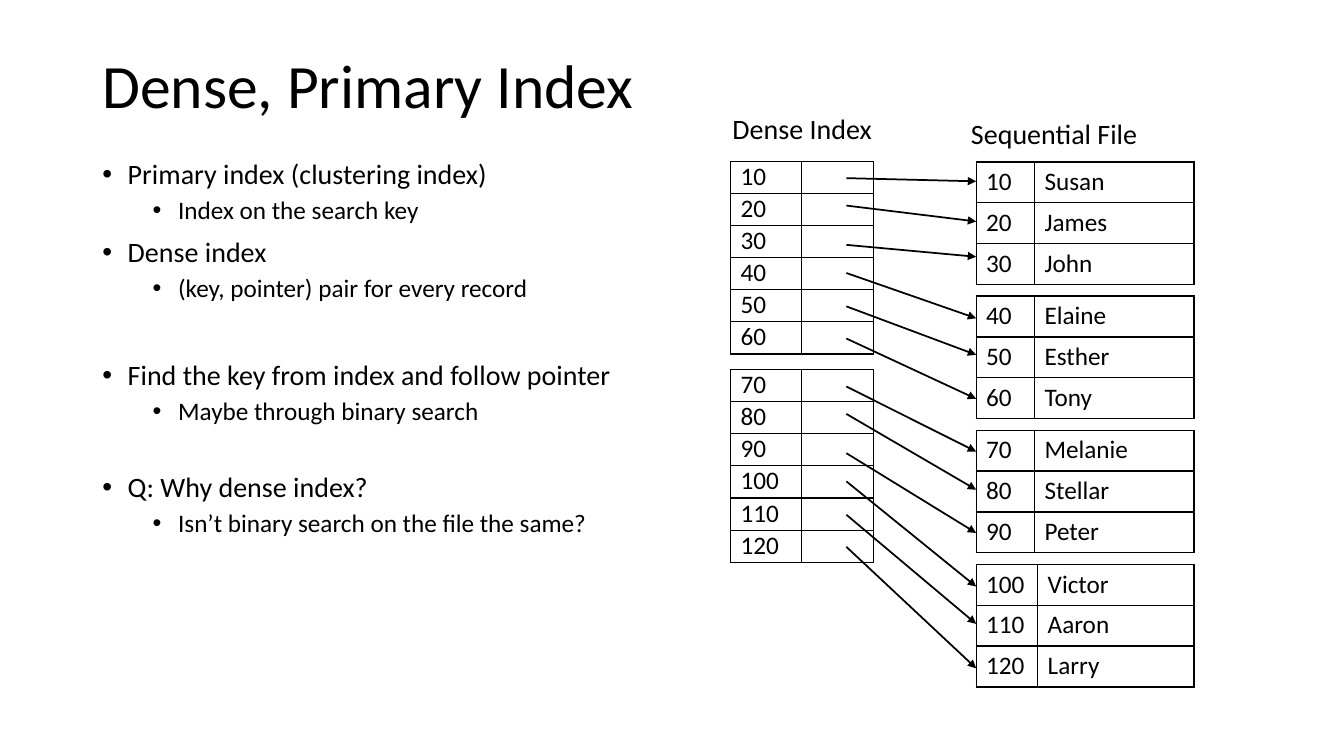
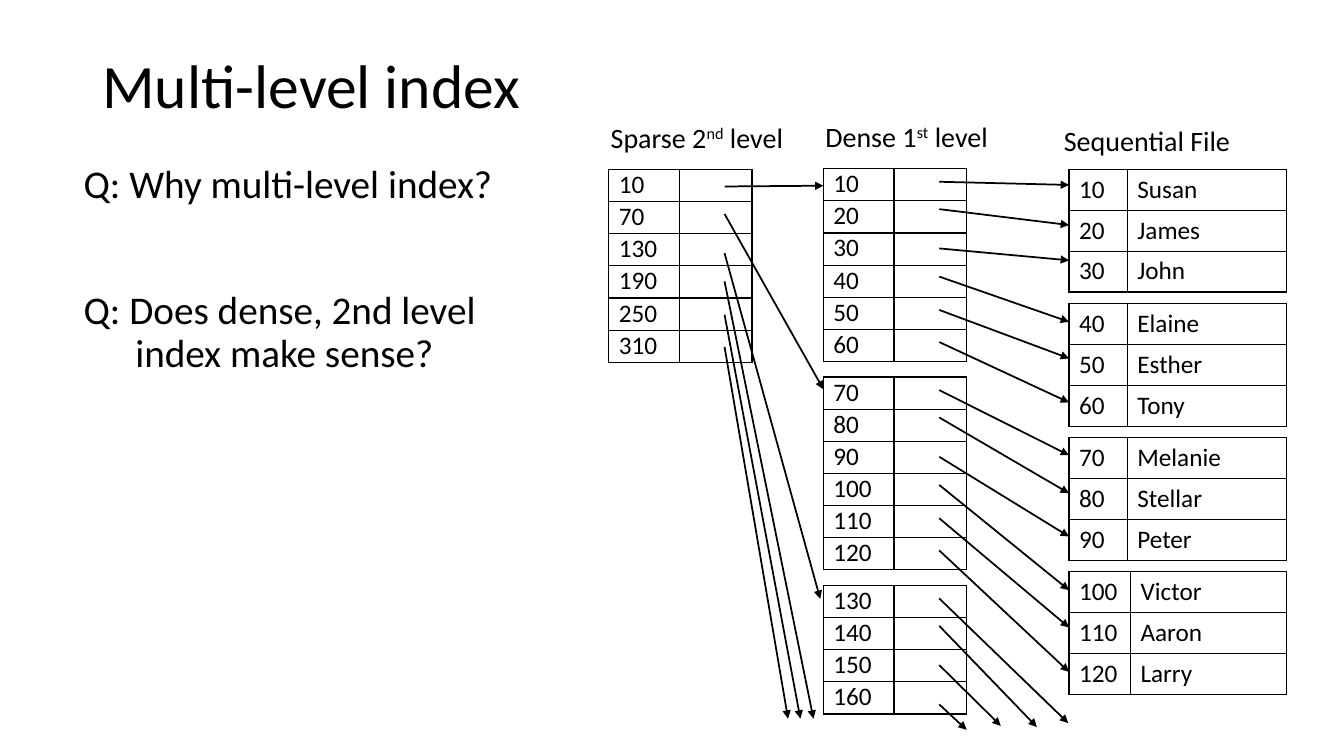
from lxml.etree import SubElement
from pptx import Presentation
from pptx.dml.color import RGBColor
from pptx.enum.shapes import MSO_CONNECTOR
from pptx.enum.text import MSO_ANCHOR
from pptx.oxml.ns import qn
from pptx.util import Cm, Pt

COLORS = {"ink": "000000", "paper": "FFFFFF"}
FONT = "Calibri"
LINE_SPACING = 0.9

# All lengths below are centimetres.
INDEX_COLUMNS = (1.78, 1.83)
INDEX_ROW = 0.81
INDEX_PITCH = 5.25
FILE_WIDTH = 5.49
FILE_ROW = 1.03
FILE_PITCH = 3.38
FILE_OFFSET = 6.19
POINTER_X = 2.92
POINTER_ROWS = (0.43, 1.12, 2.11, 2.82, 3.66, 4.47)
RECORD_ROWS = (0.51, 1.52, 2.41, 3.96, 4.88, 5.99,
               7.32, 8.28, 9.37, 10.72, 11.66, 12.78)

RECORD_BLOCKS = (
    ((10, "Susan"), (20, "James"), (30, "John")),
    ((40, "Elaine"), (50, "Esther"), (60, "Tony")),
    ((70, "Melanie"), (80, "Stellar"), (90, "Peter")),
    ((100, "Victor"), (110, "Aaron"), (120, "Larry")),
)
DENSE_KEYS = (range(10, 70, 10), range(70, 130, 10))
OVERFLOW_KEYS = range(130, 170, 10)
SPARSE_KEYS = range(10, 370, 60)

OUTLINE = (
    (0, "Primary index (clustering index)", 0),
    (1, "Index on the search key", 5),
    (0, "Dense index", 10),
    (1, "(key, pointer) pair for every record", 5),
    (0, "Find the key from index and follow pointer", 41.5),
    (1, "Maybe through binary search", 5),
    (0, "Q: Why dense index?", 34),
    (1, "Isn’t binary search on the file the same?", 5),
)
QUESTIONS = (
    ("Q: Why multi-level index?", 0),
    ("Q: Does dense, 2nd level\vindex make sense?", 60),
)


def color(name):
    return RGBColor.from_string(COLORS[name])


def format_runs(paragraph, size):
    for run in paragraph.runs:
        run.font.name = FONT
        run.font.size = Pt(size)
        run.font.color.rgb = color("ink")


def add_text_frame(slide, left, top, width, height):
    box = slide.shapes.add_textbox(Cm(left), Cm(top), Cm(width), Cm(height))
    box.text_frame.word_wrap = True
    return box.text_frame


def add_paragraph(text_frame, position, text, size, space_before, margin, indent):
    paragraph = text_frame.add_paragraph() if position else text_frame.paragraphs[0]
    paragraph.text = text
    paragraph.line_spacing = LINE_SPACING
    paragraph.space_before = Pt(space_before)
    properties = paragraph._p.get_or_add_pPr()
    properties.set("marL", str(Cm(margin)))
    properties.set("indent", str(Cm(indent)))
    format_runs(paragraph, size)
    return properties


def add_titled_slide(presentation, title):
    slide = presentation.slides.add_slide(presentation.slide_layouts[6])
    slide.background.fill.solid()
    slide.background.fill.fore_color.rgb = color("paper")
    text_frame = add_text_frame(slide, 2.33, 0.85, 29.21, 2.76)
    text_frame.vertical_anchor = MSO_ANCHOR.MIDDLE
    text_frame.text = title
    text_frame.paragraphs[0].line_spacing = LINE_SPACING
    format_runs(text_frame.paragraphs[0], 44)
    return slide


def add_outline(slide, left, top, width, height):
    text_frame = add_text_frame(slide, left, top, width, height)
    for position, (level, text, space_before) in enumerate(OUTLINE):
        properties = add_paragraph(text_frame, position, text, 20 - 2 * level,
                                   space_before, 0.64 + 1.27 * level, -0.64)
        SubElement(properties, qn("a:buFont")).set("typeface", "Arial")
        SubElement(properties, qn("a:buChar")).set("char", "•")
        if level:
            properties.set("lvl", str(level))


def add_questions(slide, left, top, width, height):
    text_frame = add_text_frame(slide, left, top, width, height)
    for position, (text, space_before) in enumerate(QUESTIONS):
        add_paragraph(text_frame, position, text, 28, space_before, 1.3, -1.3)


def add_label(slide, left, top, *parts):
    """Write the parts in one line, every second one as a superscript."""
    paragraph = add_text_frame(slide, left, top, 5.2, 1.11).paragraphs[0]
    for position, part in enumerate(parts):
        run = paragraph.add_run()
        run.text = part
        if position % 2:
            run._r.get_or_add_rPr().set("baseline", "30000")
    format_runs(paragraph, 20)


def add_arrow(slide, start, end):
    points = [Cm(value) for value in (*start, *end)]
    arrow = slide.shapes.add_connector(MSO_CONNECTOR.STRAIGHT, *points)
    arrow.line.color.rgb = color("ink")
    arrow.line.width = Pt(1.25)
    tail = SubElement(arrow.line._get_or_add_ln(), qn("a:tailEnd"))
    tail.set("type", "triangle")
    SubElement(arrow._element.spPr, qn("a:effectLst"))


def add_cell_borders(cell):
    properties = cell._tc.get_or_add_tcPr()
    for side in ("a:lnL", "a:lnR", "a:lnT", "a:lnB"):
        line = SubElement(properties, qn(side), w=str(Pt(1)))
        fill = SubElement(line, qn("a:solidFill"))
        SubElement(fill, qn("a:srgbClr"), val=COLORS["ink"])


def add_grid(slide, left, top, column_widths, row_height, rows, padding):
    """Draw a plain ruled table; padding is the space above and below its text."""
    frame = slide.shapes.add_table(
        len(rows), len(column_widths), Cm(left), Cm(top),
        Cm(sum(column_widths)), Cm(row_height * len(rows)))
    table = frame.table
    table.first_row = table.horz_banding = False
    for column, width in zip(table.columns, column_widths):
        column.width = Cm(width)
    for row, values in zip(table.rows, rows):
        row.height = Cm(row_height)
        for cell, value in zip(row.cells, values):
            cell.margin_top = cell.margin_bottom = Cm(padding)
            add_cell_borders(cell)
            cell.fill.background()
            if value != "":
                cell.text = str(value)
                format_runs(cell.text_frame.paragraphs[0], 18)


def add_index_block(slide, left, top, keys, targets, rise=0, pointers=POINTER_ROWS):
    """Draw one index block and an arrow from each pointer to its target point."""
    rows = [(key, "") for key in keys]
    add_grid(slide, left, top, INDEX_COLUMNS, INDEX_ROW, rows, 0)
    for pointer, target in zip(pointers, targets):
        add_arrow(slide, (left + POINTER_X, top + pointer - rise), target)


def add_sequential_file(slide, left, top):
    add_label(slide, left - 0.38, top - 1.27, "Sequential File")
    for position, records in enumerate(RECORD_BLOCKS):
        key_width = 1.55 if records[0][0] >= 100 else 1.47
        add_grid(slide, left, top + position * FILE_PITCH,
                 (key_width, FILE_WIDTH - key_width), FILE_ROW, records, 0.12)


def add_dense_index(slide, left, top, label, rise=0):
    """Draw the dense index with the file beside it; rise lifts the arrows."""
    file_left = left + FILE_OFFSET
    add_sequential_file(slide, file_left, top + 0.02)
    add_label(slide, left - 0.2, top - 1.37, *label)
    targets = [(file_left, top + row - rise) for row in RECORD_ROWS]
    for position, keys in enumerate(DENSE_KEYS):
        first = position * len(keys)
        add_index_block(slide, left, top + position * INDEX_PITCH, keys,
                        targets[first:first + len(keys)], rise)


def add_overflow_block(slide, left, top, rise):
    ends = ((6.17, 3.47), (5.38, 3.57), (4.47, 3.54), (3.61, 3.64))
    targets = [(left + x, top + y) for x, y in ends]
    add_index_block(slide, left, top, OVERFLOW_KEYS, targets, rise,
                    (*POINTER_ROWS[:3], 3.1))


def add_sparse_index(slide, left, top):
    add_label(slide, left - 0.2, top - 1.37, "Sparse 2", "nd", " level")
    ends = ((5.41, 0.41), (5.41, 5.54), (5.33, 10.82),
            (5.16, 13.84), (4.83, 13.84), (4.52, 13.84))
    targets = [(left + x, top + y) for x, y in ends]
    add_index_block(slide, left, top, SPARSE_KEYS, targets)


def add_dense_slide(presentation):
    slide = add_titled_slide(presentation, "Dense, Primary Index")
    add_outline(slide, 2.33, 3.91, 15.4, 13.26)
    add_dense_index(slide, 18.41, 4.06, ["Dense Index"])


def add_multi_level_slide(presentation):
    slide = add_titled_slide(presentation, "Multi-level index")
    add_questions(slide, 1.86, 4.02, 13, 13.26)
    left, top, rise = 20.75, 4.25, 0.1
    add_dense_index(slide, left, top, ("Dense 1", "st", " level"), rise)
    add_overflow_block(slide, left, top + 2 * INDEX_PITCH, rise)
    add_sparse_index(slide, 15.34, 4.27)


def main():
    presentation = Presentation()
    presentation.slide_width = Cm(33.87)
    presentation.slide_height = Cm(19.05)
    add_dense_slide(presentation)
    add_multi_level_slide(presentation)
    presentation.save("out.pptx")


if __name__ == "__main__":
    main()
